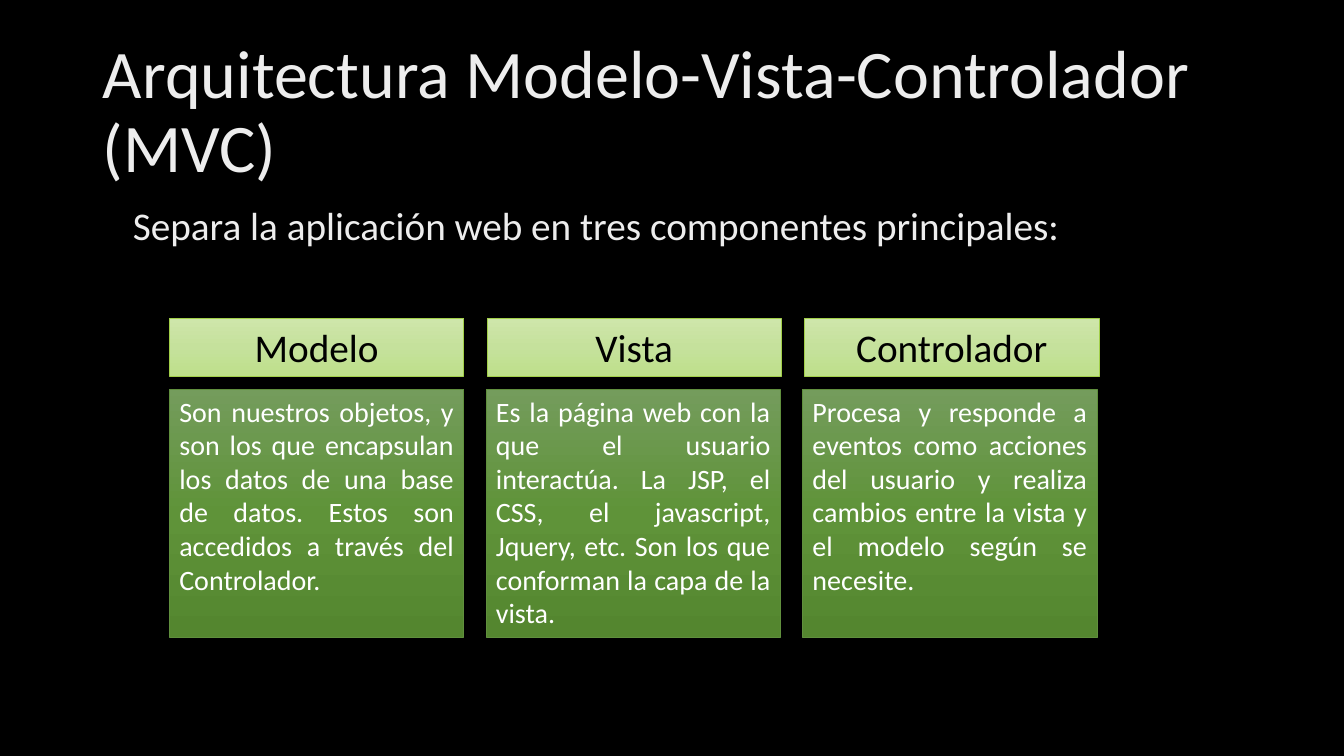
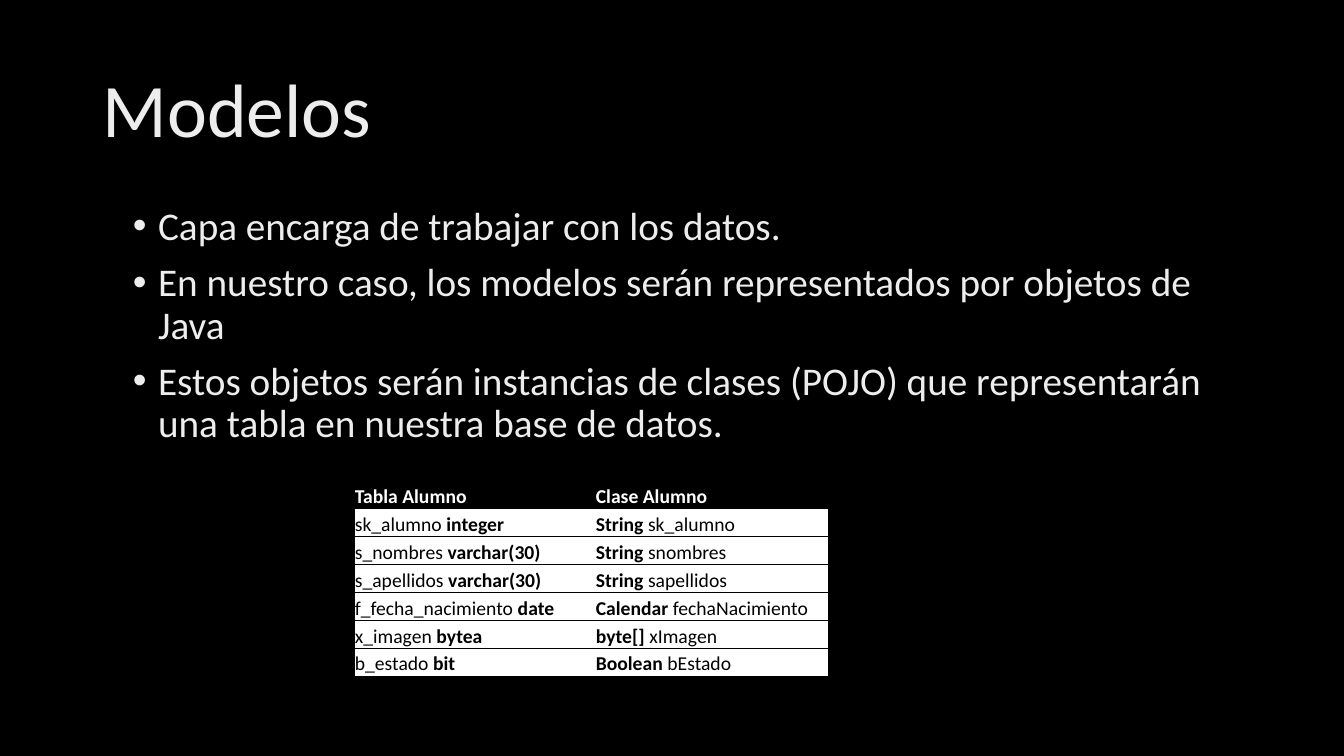
from copy import deepcopy

from lxml.etree import SubElement
from pptx import Presentation
from pptx.dml.color import RGBColor
from pptx.enum.shapes import MSO_SHAPE
from pptx.enum.text import MSO_ANCHOR, MSO_AUTO_SIZE, PP_ALIGN
from pptx.oxml.ns import qn
from pptx.util import Inches, Pt

FONT = "Calibri"
BLACK = RGBColor(0x00, 0x00, 0x00)
WHITE = RGBColor(0xFF, 0xFF, 0xFF)
LIGHT = RGBColor(0xED, 0xED, 0xED)
HEADER_LINE = RGBColor(0xA2, 0xCF, 0x49)
HEADER_STOPS = (RGBColor(0xCE, 0xE6, 0xAA), RGBColor(0xC5, 0xE1, 0x9C),
                RGBColor(0xBE, 0xE0, 0x8A))
DETAIL_LINE = RGBColor(0x60, 0x8F, 0x3D)
DETAIL_STOPS = (RGBColor(0x74, 0x9C, 0x5C), RGBColor(0x5F, 0x93, 0x39),
                RGBColor(0x54, 0x86, 0x2F))
NO_STYLE_NO_GRID = "{2D5ABB26-0587-4C30-8999-92F81FD0307C}"

COMPONENTS = [
    ("Modelo", "Son nuestros objetos, y son los que encapsulan los datos de una "
               "base de datos. Estos son accedidos a través del Controlador."),
    ("Vista", "Es la página web con la que el usuario interactúa. La JSP, el CSS, "
              "el javascript, Jquery, etc. Son los que conforman la capa de la vista."),
    ("Controlador", "Procesa y responde a eventos como acciones del usuario y realiza "
                    "cambios entre la vista y el modelo según se necesite."),
]
MODEL_POINTS = [
    "Capa encarga de trabajar con los datos.",
    "En nuestro caso, los modelos serán representados por objetos de Java",
    "Estos objetos serán instancias de clases (POJO) que representarán una tabla "
    "en nuestra base de datos.",
]
TABLE_HEADER = ("Tabla Alumno", "Clase Alumno")
# Column name, column type, field type, field name
FIELDS = [
    ("sk_alumno", "integer", "String", "sk_alumno"),
    ("s_nombres", "varchar(30)", "String", "snombres"),
    ("s_apellidos", "varchar(30)", "String", "sapellidos"),
    ("f_fecha_nacimiento", "date", "Calendar", "fechaNacimiento"),
    ("x_imagen", "bytea", "byte[]", "xImagen"),
    ("b_estado", "bit", "Boolean", "bEstado"),
]


def write(p, text, size=28, color=LIGHT, bold=False, align=PP_ALIGN.LEFT,
          line_spacing=None, space_before=None):
    """Add a run to a paragraph and set the paragraph's format."""
    p.alignment = align
    if line_spacing:
        p.line_spacing = line_spacing
    if space_before is not None:
        p.space_before = Pt(space_before)
    r = p.add_run()
    r.text = text
    font = r.font
    font.name, font.size, font.bold = FONT, Pt(size), bold
    font.color.rgb = color


def add_slide(prs, title, size):
    s = prs.slides.add_slide(prs.slide_layouts[5])
    sp = s.shapes.title
    sp.left, sp.top = Inches(0.92), Inches(0.4)
    sp.width, sp.height = Inches(11.5), Inches(1.45)
    tf = sp.text_frame
    tf.auto_size = MSO_AUTO_SIZE.NONE
    tf.vertical_anchor = MSO_ANCHOR.MIDDLE
    write(tf.paragraphs[0], title, size=size, line_spacing=0.9)
    return s


def add_body(s, lines, height, bullets=False):
    tf = s.shapes.add_textbox(Inches(1.22), Inches(2), Inches(11.19),
                              Inches(height)).text_frame
    tf.word_wrap = True
    for i, line in enumerate(lines):
        p = tf.add_paragraph() if i else tf.paragraphs[0]
        write(p, line, line_spacing=0.9, space_before=10)
        if bullets:
            pPr = p._p.get_or_add_pPr()
            pPr.set("marL", str(Inches(0.25)))
            pPr.set("indent", str(-Inches(0.25)))
            SubElement(pPr, qn("a:buFont"), typeface="Arial")
            SubElement(pPr, qn("a:buChar"), char="•")


def fill_gradient(sp, colors):
    """Fill a shape from top to bottom with three evenly spaced colours."""
    sp.fill.gradient()
    sp.fill.gradient_angle = 270
    first = sp._element.spPr.find(qn("a:gradFill")).find(qn("a:gsLst"))[0]
    first.addnext(deepcopy(first))
    for i, (stop, color) in enumerate(zip(sp.fill.gradient_stops, colors)):
        stop.position = i / 2
        stop.color.rgb = color


def add_box(s, left, top, height, text, stops, line, **text_format):
    sp = s.shapes.add_shape(MSO_SHAPE.RECTANGLE, Inches(left), Inches(top),
                            Inches(2.92), Inches(height))
    sp.shadow.inherit = False
    fill_gradient(sp, stops)
    sp.line.color.rgb = line
    sp.line.width = Pt(0.5)
    tf = sp.text_frame
    tf.word_wrap = True
    tf.auto_size = MSO_AUTO_SIZE.SHAPE_TO_FIT_TEXT
    tf.vertical_anchor = MSO_ANCHOR.TOP
    write(tf.paragraphs[0], text, **text_format)


def set_borders(cell, sides):
    tcPr = cell._tc.get_or_add_tcPr()
    for side in sides:
        ln = SubElement(tcPr, qn(f"a:ln{side}"), w=str(Pt(0.5)))
        fill = SubElement(ln, qn("a:solidFill"))
        SubElement(fill, qn("a:srgbClr"), val=str(BLACK))


def format_cell(cell, runs, fill, color, sides):
    """Write (text, bold) runs into a cell with the given fill and borders."""
    cell.margin_left = cell.margin_top = cell.margin_right = Inches(0.01)
    cell.margin_bottom = 0
    cell.vertical_anchor = MSO_ANCHOR.BOTTOM
    set_borders(cell, sides)
    cell.fill.solid()
    cell.fill.fore_color.rgb = fill
    for text, bold in runs:
        write(cell.text_frame.paragraphs[0], text, size=14, color=color, bold=bold)


def add_field_table(s):
    rows = [[[(name, True)] for name in TABLE_HEADER]]
    for column, column_type, field_type, field in FIELDS:
        rows.append([[(column + " ", False), (column_type, True)],
                     [(field_type + " ", True), (field, False)]])
    frame = s.shapes.add_table(len(rows), 2, Inches(3.51), Inches(4.77),
                               Inches(4.71), Inches(1.94))
    table = frame.table
    table.first_row = table.horz_banding = False
    table._tbl.tblPr.find(qn("a:tableStyleId")).text = NO_STYLE_NO_GRID
    for column, width in zip(table.columns, (2.39, 2.32)):
        column.width = Inches(width)
    for i, row in enumerate(rows):
        fill, color = (WHITE, BLACK) if i else (BLACK, WHITE)
        for j, (runs, sides) in enumerate(zip(row, ("LTB", "RTB"))):
            format_cell(table.cell(i, j), runs, fill, color, sides)


def build_architecture(prs):
    s = add_slide(prs, "Arquitectura Modelo-Vista-Controlador (MVC)", 48.6)
    add_body(s, ["Separa la aplicación web en tres componentes principales:"], 0.61)
    for i, (name, detail) in enumerate(COMPONENTS):
        add_box(s, 1.68 + 3.15 * i, 3.16, 0.57, name, HEADER_STOPS, HEADER_LINE,
                color=BLACK, align=PP_ALIGN.CENTER)
        add_box(s, 1.68 + 3.14 * i, 3.86, 2.46, detail, DETAIL_STOPS, DETAIL_LINE,
                size=20, color=WHITE, align=PP_ALIGN.JUSTIFY)


def build_models(prs):
    s = add_slide(prs, "Modelos", 54)
    add_body(s, MODEL_POINTS, 2.63, bullets=True)
    add_field_table(s)


def main():
    prs = Presentation()
    prs.slide_width, prs.slide_height = Inches(13.33), Inches(7.5)
    background = prs.slide_master.background.fill
    background.solid()
    background.fore_color.rgb = BLACK
    build_architecture(prs)
    build_models(prs)
    prs.save("out.pptx")


if __name__ == "__main__":
    main()
